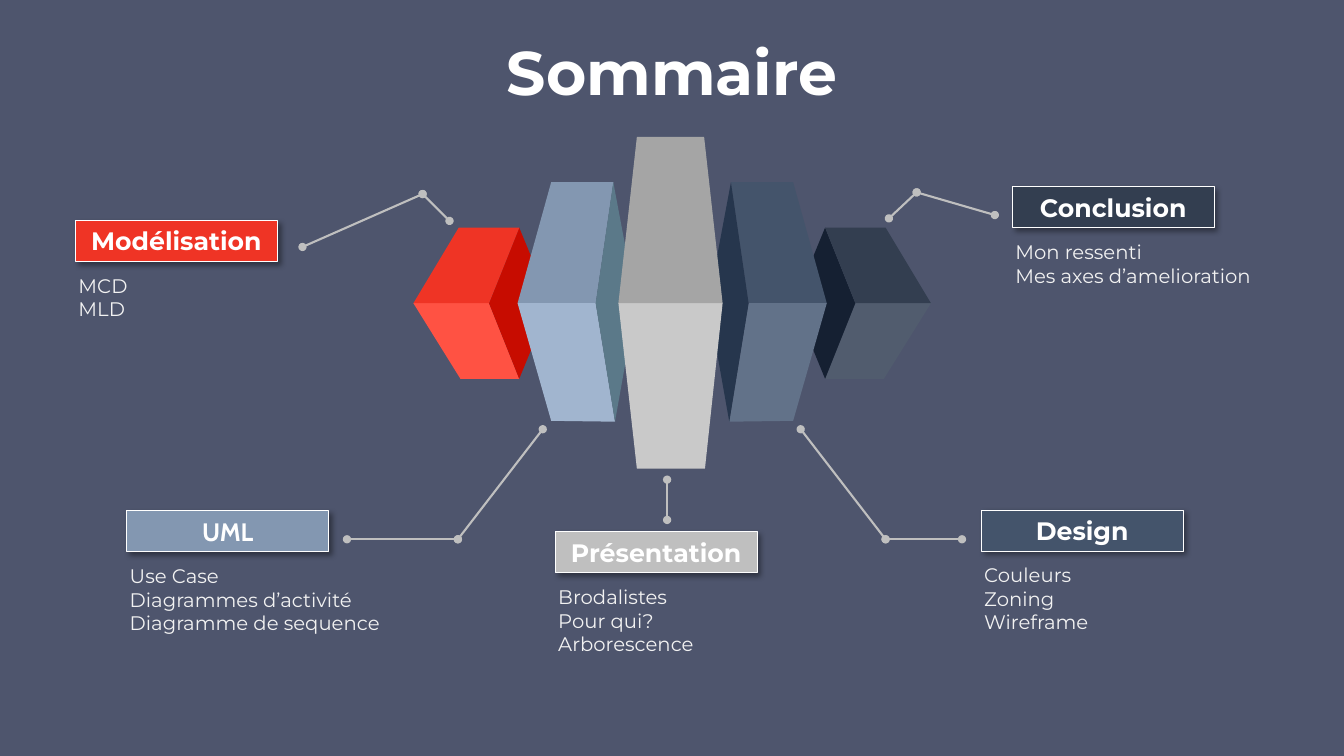
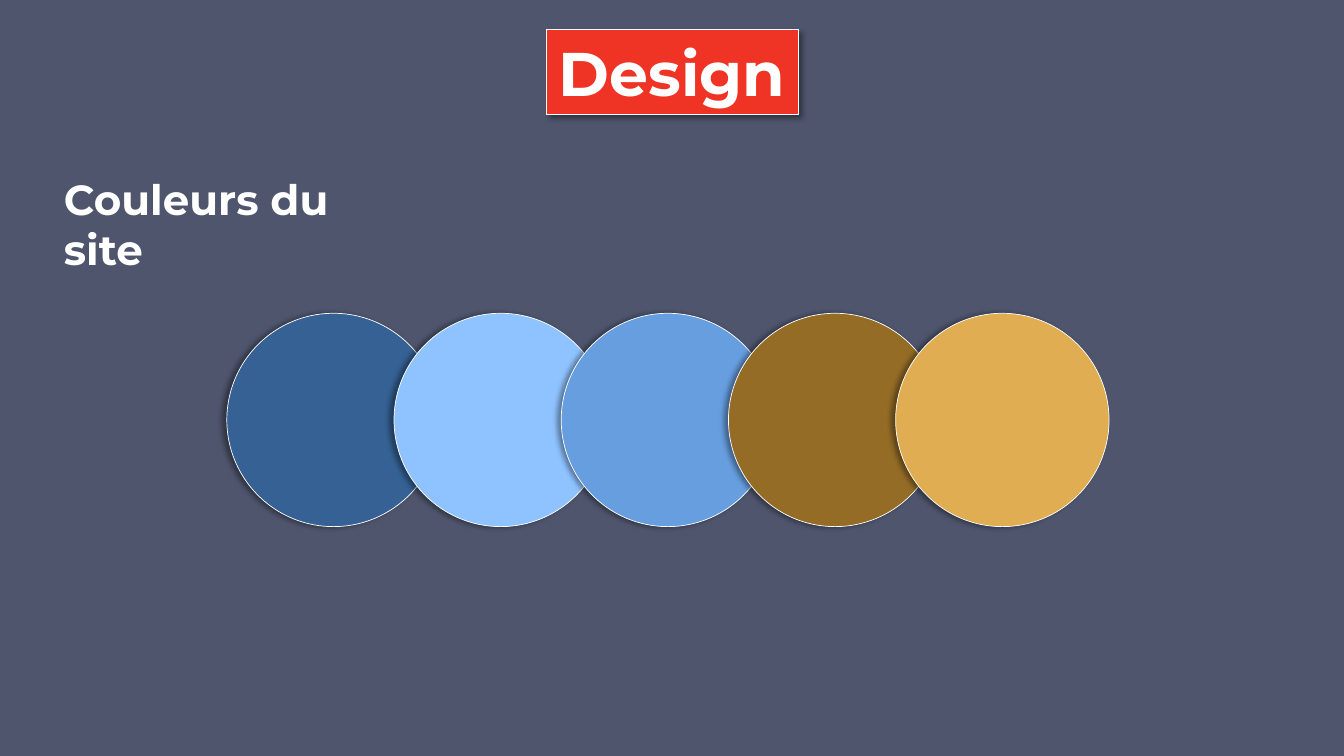
import copy
from dataclasses import dataclass

import lxml.etree
import pptx
import pptx.dml.color
import pptx.enum.shapes
import pptx.enum.text
import pptx.oxml.ns
import pptx.util

# Grid: 160 columns by 90 rows on a wide slide
COLS, ROWS = 160, 90
WIDTH, HEIGHT = pptx.util.Inches(13.33), pptx.util.Inches(7.5)
CELL = HEIGHT / ROWS
MID = 36.1  # row of the cubes' middle edge

FONT = "Montserrat"
INK = {
    "back": "4E556D", "white": "FFFFFF", "pale": "F2F2F2", "wire": "BFBFBF",
    "red": "EF3425", "rose": "FF5243", "blood": "C70C00",
    "steel": "8397B1", "ice": "A1B5CF", "teal": "5B7989",
    "gray": "A5A5A5", "silver": "C9C9C9",
    "slate": "44546B", "dusk": "627289", "navy": "26364D",
    "coal": "333E50", "smoke": "515C6E", "night": "152032",
    "sea": "356194", "sky": "8FC3FF", "blue": "669EE0",
    "brown": "946C26", "gold": "E0AD53",
}
ALIGN = pptx.enum.text.PP_ALIGN
ANCHOR = pptx.enum.text.MSO_ANCHOR
KIND = pptx.enum.shapes.MSO_SHAPE
Point = tuple[float, float]


@dataclass
class Face:
    points: list[Point]
    left: str
    right: str


@dataclass
class Topic:
    name: str
    color: str
    col: float
    row: float
    lines: list[str]
    font: str = FONT


@dataclass
class Style:
    size: float
    color: str = "white"
    bold: bool = True
    font: str = FONT
    align: ALIGN = ALIGN.LEFT
    anchor: ANCHOR = ANCHOR.TOP
    pad: Point = (0.1, 0.05)


HEAD = Style(44, align=ALIGN.CENTER, anchor=ANCHOR.MIDDLE)
LIST = Style(14, "pale", False, pad=(0.07, 0.03))

# Left cubes; the right ones mirror them
FACES = [
    Face([(58.2, MID), (49.2, MID), (54.8, 45.1), (61.8, 45.1)], "rose", "smoke"),
    Face([(65.5, MID), (61.8, 27.1), (58.2, MID), (61.8, 45.1)], "blood", "night"),
    Face([(58.2, MID), (61.8, 27.1), (54.6, 27.1), (49.2, MID)], "red", "coal"),
    Face([(73, 21.7), (65.6, 21.7), (61.6, MID), (70.9, MID)], "steel", "slate"),
    Face([(73.2, 50.2), (70.9, MID), (61.6, MID), (65.6, 50.1)], "ice", "dusk"),
    Face([(73, 21.7), (70.9, MID), (73.2, 50.2), (75.7, MID)], "teal", "navy"),
]
CORE = {
    "silver": [(73.6, MID), (86, MID), (83.9, 55.8), (75.8, 55.8)],
    "gray": [(86, MID), (73.6, MID), (75.8, 16.3), (83.8, 16.3)],
}
WIRES = [
    [(95.3, 51.1), (105.4, 64.2), (114.5, 64.2)],
    [(64.6, 51.1), (54.5, 64.2), (41.3, 64.2)],
    [(118.4, 25.6), (109.1, 22.9), (105.8, 26)],
    [(36, 29.4), (50.3, 23.1), (53.5, 26.3)],
    [(79.4, 61.9), (79.4, 57.1)],
]
TOPICS = [
    Topic("Conclusion", "coal", 120.5, 22.2, ["Mon ressenti", "Mes axes d’amelioration"]),
    Topic("Modélisation", "red", 9, 26.2, ["MCD", "MLD"]),
    Topic("Présentation", "wire", 66.1, 63.3, ["Brodalistes", "Pour qui?", "Arborescence"]),
    Topic("Design", "slate", 116.8, 60.7, ["Couleurs", "Zoning", "Wireframe"]),
    Topic("UML", "steel", 15.1, 60.8,
          ["Use Case", "Diagrammes d’activité", "Diagramme de sequence"], "Cabin"),
]
SWATCHES = ["sea", "sky", "blue", "brown", "gold"]


def cells(*counts: float) -> list[int]:
    return [round(count * CELL) for count in counts]


def rgb(name: str) -> pptx.dml.color.RGBColor:
    return pptx.dml.color.RGBColor.from_string(INK[name])


def add_xml(parent, tag: str, **attrs: str):
    return lxml.etree.SubElement(parent, pptx.oxml.ns.qn(tag), attrs)


def place(shape, col: float, row: float, wide: float, high: float) -> None:
    shape.left, shape.top, shape.width, shape.height = cells(col, row, wide, high)


def paint(shape, color: str) -> None:
    shape.fill.solid()
    shape.fill.fore_color.rgb = rgb(color)


def frame(shape, color: str, angle: int) -> None:
    """Fill, thin white outline and soft shadow."""
    paint(shape, color)
    shape.line.color.rgb = rgb("white")
    shape.line.width = pptx.util.Pt(0.5)
    glow = add_xml(add_xml(shape.element.spPr, "a:effectLst"), "a:outerShdw",
                   blurRad=str(pptx.util.Pt(4)), dist=str(pptx.util.Pt(3)),
                   dir=str(angle * 60000), algn="tl", rotWithShape="0")
    add_xml(add_xml(glow, "a:srgbClr", val="000000"), "a:alpha", val="40000")


def write(shape, lines: list[str], style: Style) -> None:
    box = shape.text_frame
    box.text = "\n".join(lines)
    box.word_wrap = True
    box.auto_size = pptx.enum.text.MSO_AUTO_SIZE.NONE
    box.vertical_anchor = style.anchor
    box.margin_left = box.margin_right = pptx.util.Inches(style.pad[0])
    box.margin_top = box.margin_bottom = pptx.util.Inches(style.pad[1])
    for para in box.paragraphs:
        para.alignment = style.align
        para.line_spacing = 1.0
        para.space_before = para.space_after = pptx.util.Pt(0)
        props = para._p.get_or_add_pPr()
        props.set("marL", "0")
        props.set("indent", "0")
        add_xml(props, "a:buNone")
        for run in para.runs:
            run.font.name = style.font
            run.font.size = pptx.util.Pt(style.size)
            run.font.bold = style.bold
            run.font.color.rgb = rgb(style.color)


def add_face(slide, points: list[Point], color: str) -> None:
    spots = [tuple(cells(*point)) for point in points]
    pen = slide.shapes.build_freeform(*spots[0])
    pen.add_line_segments(spots[1:])
    face = pen.convert_to_shape()
    face.shadow.inherit = False
    paint(face, color)
    face.line.fill.background()


def add_wire(slide, start: Point, end: Point) -> None:
    wire = slide.shapes.add_connector(
        pptx.enum.shapes.MSO_CONNECTOR.STRAIGHT, *cells(*start, *end))
    wire.line.color.rgb = rgb("wire")
    wire.line.width = pptx.util.Pt(1.5)
    line = wire.line._get_or_add_ln()
    for tag in ("a:headEnd", "a:tailEnd"):
        add_xml(line, tag, type="oval")
    add_xml(wire.element.spPr, "a:effectLst")


def add_topic(slide, topic: Topic, body) -> None:
    place(body, topic.col - 0.5, topic.row + 6, 34.4, 3.3 + 2.8 * len(topic.lines))
    write(body, topic.lines, LIST)
    label = slide.shapes.add_shape(KIND.RECTANGLE, *cells(topic.col, topic.row, 24, 4.9))
    frame(label, topic.color, 45)
    write(label, [topic.name], Style(18, font=topic.font, align=ALIGN.CENTER,
                                     anchor=ANCHOR.MIDDLE))


def add_title(slide, text: str, row: float, wide: float):
    title = slide.shapes.title
    place(title, (COLS - wide) / 2, row, wide, 10.1)
    write(title, [text], HEAD)
    return title


def add_summary(deck) -> None:
    # The comparison layout holds four bodies; a fifth is added
    layout = deck.slide_layouts[4]
    last = layout.placeholders[4].element
    extra = copy.deepcopy(last)
    extra.xpath(".//p:cNvPr")[0].set("id", "20")
    extra.xpath(".//p:ph")[0].set("idx", "20")
    last.addnext(extra)

    slide = deck.slides.add_slide(layout)
    add_title(slide, "Sommaire", 3.4, 72)
    # Cubes
    for face in FACES:
        add_face(slide, [(COLS - col, row) for col, row in face.points], face.right)
    for face in FACES:
        add_face(slide, face.points, face.left)
    for color, points in CORE.items():
        add_face(slide, points, color)
    # Topics and their wires
    bodies = list(slide.placeholders)[1:]
    for topic, body in zip(TOPICS, bodies):
        add_topic(slide, topic, body)
    for wire in WIRES:
        for start, end in zip(wire, wire[1:]):
            add_wire(slide, start, end)


def add_design(deck) -> None:
    slide = deck.slides.add_slide(deck.slide_layouts[1])
    frame(add_title(slide, "Design", 3.5, 30), "red", 45)
    body = slide.placeholders[1]
    place(body, 6.4, 20, 36.2, 13.3)
    write(body, ["Couleurs du site"], Style(30))
    # Overlapping swatches
    for index, color in enumerate(SWATCHES):
        disc = slide.shapes.add_shape(
            KIND.OVAL, *cells(27 + 19.9 * index, 37.3, 25.4, 25.4))
        frame(disc, color, 180)


def main() -> None:
    deck = pptx.Presentation()
    deck.slide_width, deck.slide_height = WIDTH, HEIGHT
    back = deck.slide_master.background.fill
    back.solid()
    back.fore_color.rgb = rgb("back")
    add_summary(deck)
    add_design(deck)
    deck.save("out.pptx")


if __name__ == "__main__":
    main()
